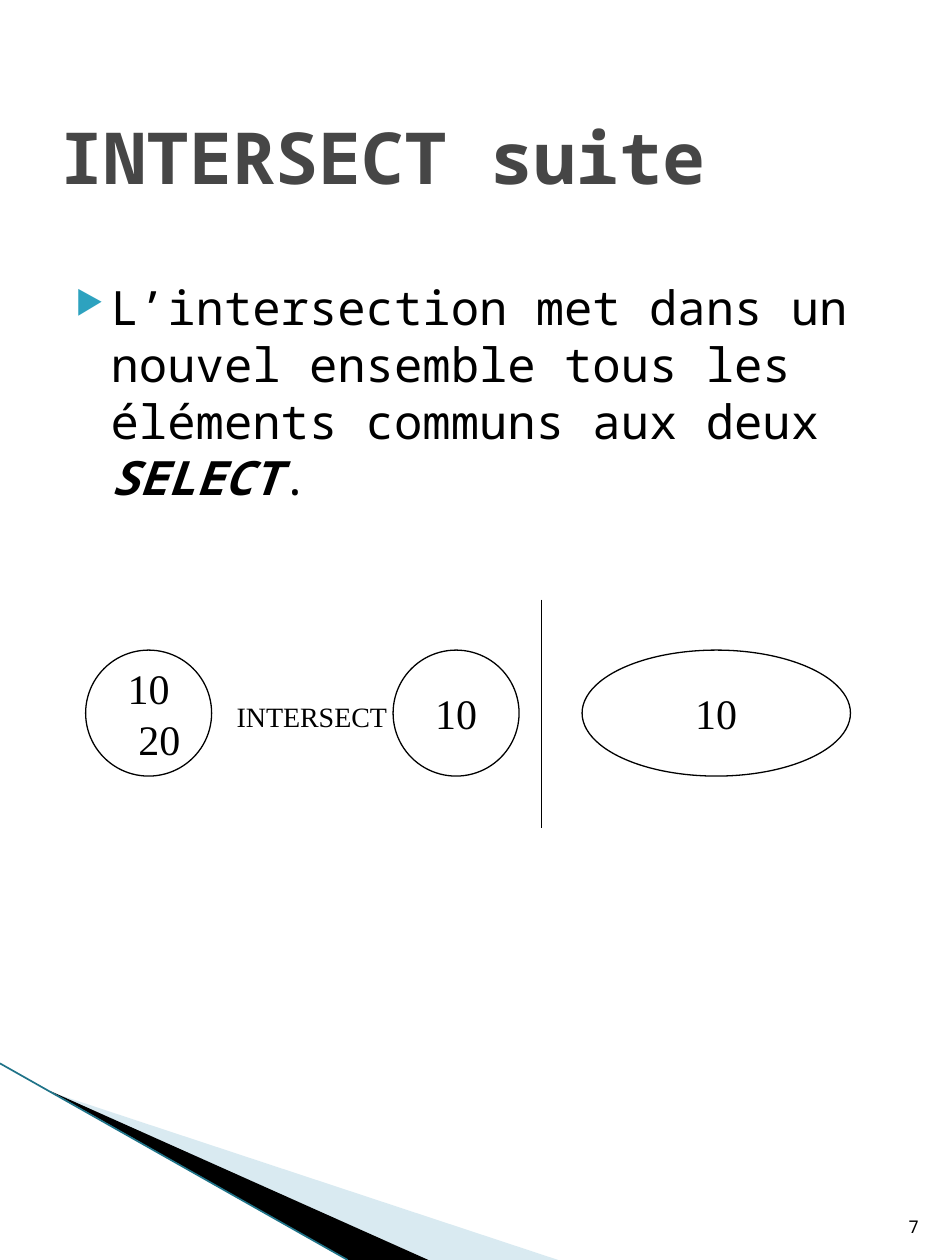
"""Build the slide about INTERSECT."""
from lxml.etree import SubElement
from pptx import Presentation
from pptx.dml.color import RGBColor
from pptx.enum.shapes import MSO_CONNECTOR, MSO_SHAPE
from pptx.enum.text import MSO_ANCHOR, PP_ALIGN
from pptx.oxml.ns import qn
from pptx.util import Inches, Pt

BLACK = RGBColor(0x00, 0x00, 0x00)
GREY = RGBColor(0x46, 0x46, 0x46)
TEAL = RGBColor(0x1F, 0x73, 0x88)
BULLET = RGBColor(0x2D, 0xA2, 0xBF)
PALE_BLUE = RGBColor(0xD9, 0xEA, 0xF1)
MONO, SERIF = "Noto Sans Mono", "Times New Roman"

TITLE = "INTERSECT suite"
BODY = [("L’intersection met dans un nouvel ensemble tous les éléments communs aux deux ", False),
        ("SELECT", True), (".", False)]
SET_TOP, SET_HEIGHT = 5.16, 1
SETS = [(0.68, 1, ["10", "20"]), (3.12, 1, ["10"]), (4.62, 2.13, ["10"])]
SECOND_VALUE_INDENT = 0.17
WEDGES = [([(0.41, 8.67), (4.43, 10), (3.4, 10)], PALE_BLUE),
          ([(0.4, 8.66), (3.4, 10), (2.76, 10)], BLACK)]
LINES = [((0, 8.44), (2.76, 10), TEAL, 0.95),
         ((4.3, 4.76), (4.3, 6.57), BLACK, 0.75)]

presentation = Presentation()
presentation.slide_width, presentation.slide_height = Inches(7.5), Inches(10)
slide = presentation.slides.add_slide(presentation.slide_layouts[6])
shapes = slide.shapes


def format_run(run, size, font, color=BLACK, bold=False, italic=False):
    run.font.size, run.font.name = Pt(size), font
    run.font.color.rgb = color
    run.font.bold, run.font.italic = bold, italic


def add_text(box, parts, size, font, color=BLACK, bold=False,
             anchor=MSO_ANCHOR.TOP, align=PP_ALIGN.LEFT, wrap=True):
    frame = shapes.add_textbox(*map(Inches, box)).text_frame
    frame.word_wrap, frame.vertical_anchor = wrap, anchor
    paragraph = frame.paragraphs[0]
    paragraph.alignment = align
    for text, strong in parts:
        run = paragraph.add_run()
        run.text = text
        format_run(run, size, font, color, bold or strong, strong)
    return paragraph


def add_bullet(paragraph):
    properties = paragraph._p.get_or_add_pPr()
    properties.set("marL", str(Inches(0.4)))
    properties.set("indent", str(Inches(-0.28)))
    color = SubElement(properties, qn("a:buClr"))
    SubElement(color, qn("a:srgbClr"), val=str(BULLET))
    SubElement(properties, qn("a:buSzPct"), val="68000")
    SubElement(properties, qn("a:buChar"), char="▶")


def add_set(left, width, values):
    ellipse = shapes.add_shape(
        MSO_SHAPE.OVAL, *map(Inches, (left, SET_TOP, width, SET_HEIGHT)))
    ellipse.shadow.inherit = False
    ellipse.fill.background()
    ellipse.line.color.rgb, ellipse.line.width = BLACK, Pt(0.75)
    frame = ellipse.text_frame
    frame.margin_left = frame.margin_right = 0
    frame.vertical_anchor = MSO_ANCHOR.MIDDLE
    frame.text = "\n".join(values)
    for index, paragraph in enumerate(frame.paragraphs):
        paragraph.alignment = PP_ALIGN.CENTER
        format_run(paragraph.runs[0], 24, SERIF)
        if index:
            paragraph._p.get_or_add_pPr().set("marL", str(Inches(SECOND_VALUE_INDENT)))


for points, color in WEDGES:
    start, *rest = [tuple(map(Inches, point)) for point in points]
    builder = shapes.build_freeform(*start)
    builder.add_line_segments(rest)
    wedge = builder.convert_to_shape()
    wedge.shadow.inherit = False
    wedge.fill.solid()
    wedge.fill.fore_color.rgb = color
    wedge.line.fill.background()

for start, end, color, width in LINES:
    line = shapes.add_connector(MSO_CONNECTOR.STRAIGHT, *map(Inches, start + end))
    line.line.color.rgb, line.line.width = color, Pt(width)
    SubElement(line._element.spPr, qn("a:effectLst"))

add_text((0.38, 0.4, 6.75, 1.67), [(TITLE, False)], 41, MONO, GREY, True, MSO_ANCHOR.MIDDLE)
body = add_text((0.38, 2.16, 6.75, 6.6), BODY, 27, MONO)
body.space_before = Pt(4)
add_bullet(body)
add_text((7.09, 9.34, 0.3, 0.53), [("7", False)], 10, MONO,
         anchor=MSO_ANCHOR.BOTTOM, align=PP_ALIGN.RIGHT)
add_text((1.78, 5.5, 1.4, 0.37), [("INTERSECT", False)], 16, SERIF, wrap=False)
for left, width, values in SETS:
    add_set(left, width, values)

presentation.save("out.pptx")
